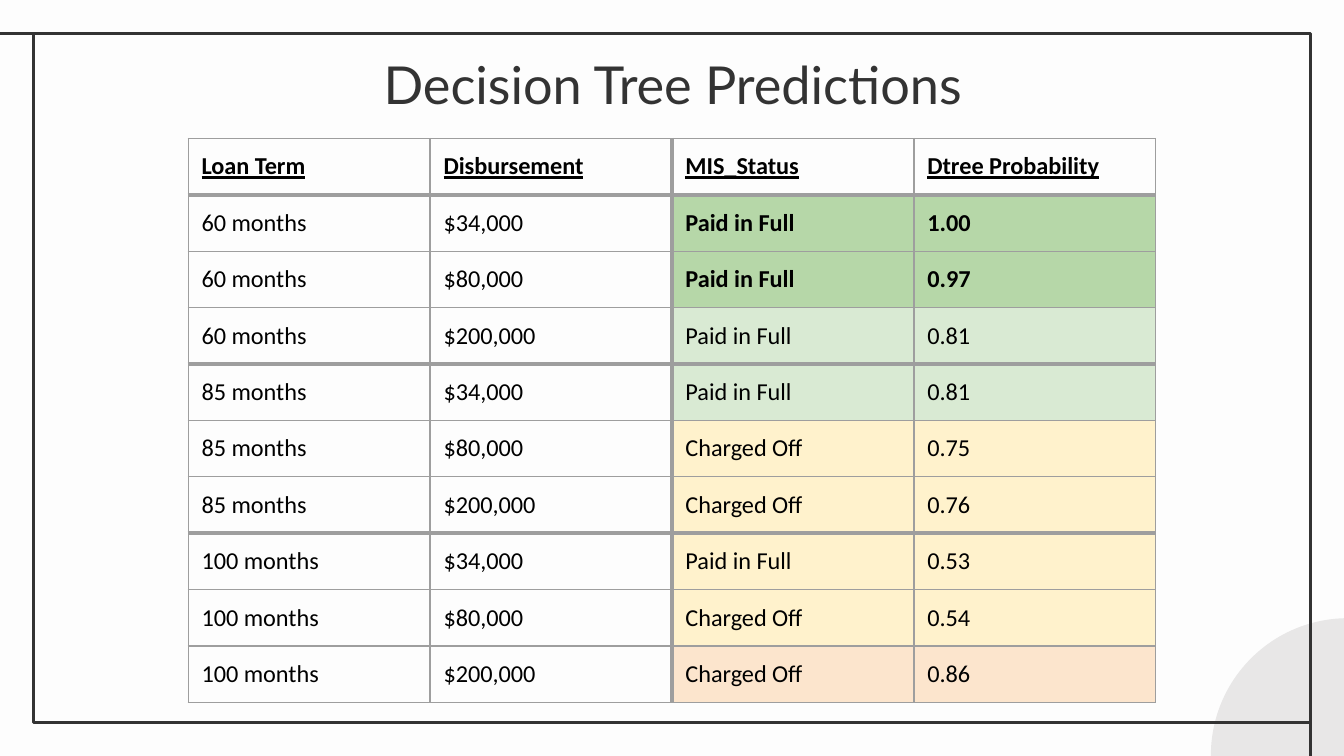
"""Builds the slide that tabulates decision tree predictions for loans."""
from dataclasses import dataclass

from lxml import etree
from pptx import Presentation, util as u
from pptx.dml import color
from pptx.enum import shapes, text
from pptx.oxml import ns


@dataclass(frozen=True)
class Theme:
    """Colours, fonts and sizes of the slide."""
    paper: str = "FDFDFD"
    ink: str = "333333"
    black: str = "000000"
    disc: str = "E8E7E7"
    grid: str = "9E9E9E"
    strong: str = "B6D7A8"
    likely: str = "D9EAD3"
    unsure: str = "FFF2CC"
    risky: str = "FCE5CD"
    title_font: str = "Lato"
    body_font: str = "Calibri"
    title_size: float = 28
    body_size: float = 13
    frame_width: float = 1.5
    thin: float = 0.75
    thick: float = 2.25


def rgb(code):
    """Return a colour object for a hex code."""
    return color.RGBColor.from_string(code)


def write(frame, words, *, font, size, ink, bold=False, underline=False,
          align=text.PP_ALIGN.LEFT):
    """Put one formatted paragraph into a text frame."""
    frame.word_wrap = True
    paragraph = frame.paragraphs[0]
    paragraph.alignment = align
    run = paragraph.add_run()
    run.text = words
    run.font.name, run.font.size = font, u.Pt(size)
    run.font.bold, run.font.underline = bold, underline
    run.font.color.rgb = rgb(ink)


class Deck:
    """Draws on one slide with a grid of 40 columns, each cell square."""

    def __init__(self, theme, columns=40, rows=22.5):
        """Open a blank slide with the theme's background."""
        self.theme = theme
        self.file = Presentation()
        self.file.slide_width, self.file.slide_height = u.Inches(10), u.Inches(5.625)
        self.columns, self.rows = columns, rows
        self.slide = self.file.slides.add_slide(self.file.slide_layouts[6])
        self.slide.background.fill.solid()
        self.slide.background.fill.fore_color.rgb = rgb(theme.paper)

    def place(self, *lengths):
        """Turn alternating columns and rows into slide lengths."""
        steps = (self.file.slide_width / self.columns, self.file.slide_height / self.rows)
        return [u.Emu(round(length * steps[i % 2])) for i, length in enumerate(lengths)]

    def shape(self, kind, *area, fill=None, line=None):
        """Add a preset shape with an optional fill and outline."""
        item = self.slide.shapes.add_shape(kind, *self.place(*area))
        item.shadow.inherit = False
        if fill:
            item.fill.solid()
            item.fill.fore_color.rgb = rgb(fill)
        else:
            item.fill.background()
        if line:
            item.line.color.rgb = rgb(line)
            item.line.width = u.Pt(self.theme.frame_width)
        else:
            item.line.fill.background()

    def rule(self, *ends):
        """Add a straight line in the frame's style."""
        line = self.slide.shapes.add_connector(
            shapes.MSO_CONNECTOR.STRAIGHT, *self.place(*ends))
        line.line.color.rgb = rgb(self.theme.ink)
        line.line.width = u.Pt(self.theme.frame_width)
        etree.SubElement(line._element.spPr, ns.qn("a:effectLst"))

    def title(self, words, *area):
        """Add the centred slide title."""
        frame = self.slide.shapes.add_textbox(*self.place(*area)).text_frame
        frame.margin_left = frame.margin_right = u.Inches(0.1)
        frame.margin_top = frame.margin_bottom = u.Inches(0.1)
        write(frame, words, font=self.theme.title_font, size=self.theme.title_size,
              ink=self.theme.ink, align=text.PP_ALIGN.CENTER)

    def border(self, cell, **widths):
        """Draw the sides of a cell, given as L, R, T and B in points."""
        properties = cell._tc.get_or_add_tcPr()
        for position, (side, width) in enumerate(widths.items()):
            edge = etree.Element(ns.qn(f"a:ln{side}"), w=str(u.Pt(width)))
            fill = etree.SubElement(edge, ns.qn("a:solidFill"))
            etree.SubElement(fill, ns.qn("a:srgbClr"), val=self.theme.grid)
            properties.insert(position, edge)

    def cell(self, cell, words, fill=None, **style):
        """Fill one table cell with text and colour."""
        cell.margin_left = cell.margin_right = u.Inches(0.1)
        cell.margin_top = cell.margin_bottom = u.Inches(0.1)
        if fill:
            cell.fill.solid()
            cell.fill.fore_color.rgb = rgb(fill)
        else:
            cell.fill.background()
        write(cell.text_frame, words, font=self.theme.body_font,
              size=self.theme.body_size, ink=self.theme.black, **style)

    def table(self, header, records, left, top, column, row, group, split):
        """Add a table with thick rules between row groups and at the split column."""
        theme = self.theme
        count, width = len(records) + 1, len(header)
        grid = self.slide.shapes.add_table(
            count, width, *self.place(left, top, column * width, row * count)).table
        grid.first_row = grid.horz_banding = False

        def weight(heavy):
            return theme.thick if heavy else theme.thin

        for r, (values, tint) in enumerate([(header, None), *records]):
            for c, words in enumerate(values):
                cell = grid.cell(r, c)
                outcome = c >= split
                fill = tint if outcome or r == 0 else theme.paper
                self.cell(cell, words, fill, underline=r == 0,
                          bold=r == 0 or (outcome and tint == theme.strong))
                self.border(cell, L=weight(c == split), R=weight(c + 1 == split),
                            T=weight(r % group == 1),
                            B=weight(r % group == 0 and r + 1 < count))


def main():
    """Build and save the slide."""
    theme = Theme()
    deck = Deck(theme)
    deck.shape(shapes.MSO_SHAPE.OVAL, 36.04, 18.4, 8.16, 8.16, fill=theme.disc)
    deck.shape(shapes.MSO_SHAPE.RECTANGLE, 1, 1, 38, 20.5, line=theme.ink)
    deck.rule(1, 1, -0.32, 1)
    deck.rule(39, 22.72, 39, 21.4)
    deck.title("Decision Tree Predictions", 3.16, 1.16, 33.72, 2.52)

    terms = ("60 months", "85 months", "100 months")
    amounts = ("$34,000", "$80,000", "$200,000")
    paid, charged = "Paid in Full", "Charged Off"
    predictions = [
        (paid, "1.00", theme.strong), (paid, "0.97", theme.strong),
        (paid, "0.81", theme.likely), (paid, "0.81", theme.likely),
        (charged, "0.75", theme.unsure), (charged, "0.76", theme.unsure),
        (paid, "0.53", theme.unsure), (charged, "0.54", theme.unsure),
        (charged, "0.86", theme.risky),
    ]
    loans = [(term, amount) for term in terms for amount in amounts]
    records = [((*loan, status, chance), tint)
               for loan, (status, chance, tint) in zip(loans, predictions)]
    deck.table(("Loan Term", "Disbursement", "MIS_Status", "Dtree Probability"),
               records, left=5.6, top=4.12, column=7.2, row=1.68,
               group=len(amounts), split=2)
    deck.file.save("out.pptx")


if __name__ == "__main__":
    main()
